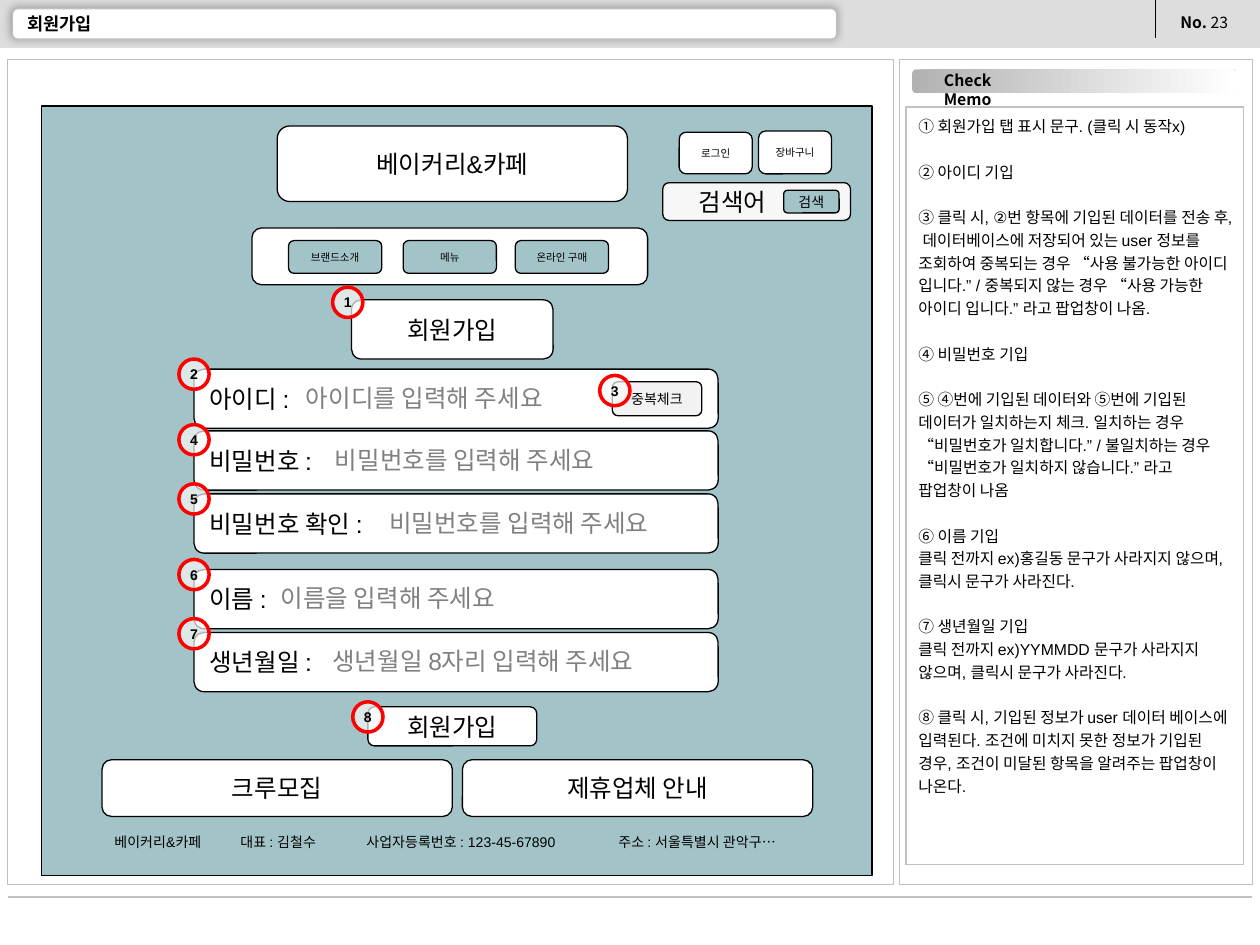
from dataclasses import dataclass

from lxml import etree
from pptx import Presentation
from pptx.dml.color import RGBColor
from pptx.enum.shapes import MSO_CONNECTOR, MSO_SHAPE
from pptx.enum.text import MSO_ANCHOR, PP_ALIGN
from pptx.oxml.ns import qn
from pptx.util import Inches, Pt

RECT, ROUND, OVAL = MSO_SHAPE.RECTANGLE, MSO_SHAPE.ROUNDED_RECTANGLE, MSO_SHAPE.OVAL
STRAIGHT = MSO_CONNECTOR.STRAIGHT
LEFT, CENTER = PP_ALIGN.LEFT, PP_ALIGN.CENTER
TOP, MIDDLE = MSO_ANCHOR.TOP, MSO_ANCHOR.MIDDLE


@dataclass(frozen=True)
class Theme:
    font: str = "Arial"
    korean: str = "Noto Sans CJK KR"
    black: str = "000000"
    white: str = "FFFFFF"
    band: str = "DDDDDD"
    border: str = "C0C0C0"
    fade: str = "B2B2B2"
    shadow: str = "989898"
    teal: str = "A2C4C9"
    search: str = "F7F7F7"
    check: str = "F2F2F2"
    marker: str = "F8F8F8"
    red: str = "FF0000"
    hint: str = "808080"
    large: int = 14
    title: int = 10
    body: int = 9
    small: int = 8
    tiny: int = 6


theme = Theme()


def write(box, text, size=theme.large, color=theme.black, font=theme.font, bold=False,
          lead="", align=LEFT, anchor=TOP, insets=(0.1, 0.05), left=None,
          spacing=None, gap=0, wrap=True):
    """Blank lines in text part blocks, set gap points apart; lead is a bold opening."""
    frame = box.text_frame
    frame.word_wrap = wrap
    frame.vertical_anchor = anchor
    side, edge = insets
    frame.margin_left = Inches(side if left is None else left)
    frame.margin_right = Inches(side)
    frame.margin_top = frame.margin_bottom = Inches(edge)
    para = frame.paragraphs[0]
    for block_number, block in enumerate(text.split("\n\n")):
        for line_number, line in enumerate(block.split("\n")):
            if block_number or line_number:
                para = frame.add_paragraph()
            if block_number and not line_number:
                para.space_before = Pt(gap)
            para.alignment = align
            if spacing:
                para.line_spacing = spacing
            for words, heavy in ((lead, True), (line, bold)):
                if not words:
                    continue
                span = para.add_run()
                span.text = words
                span.font.size = Pt(size)
                span.font.bold = heavy
                span.font.name = font
                span.font.color.rgb = RGBColor.from_string(color)
                east = etree.SubElement(span.font._element, qn("a:ea"))
                east.set("typeface", theme.korean)


def add_box(kind, left, top, width, height, fill=theme.white, line=theme.black, weight=0.75):
    box = page.shapes.add_shape(kind, Inches(left), Inches(top), Inches(width), Inches(height))
    box.shadow.inherit = False
    box.fill.solid()
    box.fill.fore_color.rgb = RGBColor.from_string(fill)
    if line:
        box.line.color.rgb = RGBColor.from_string(line)
        box.line.width = Pt(weight)
    else:
        box.line.fill.background()
    return box


deck = Presentation()
deck.slide_width, deck.slide_height = Inches(10), Inches(7.5)
page = deck.slides.add_slide(deck.slide_layouts[6])

# Page frame
add_box(RECT, 0, 0, 10, 0.38, theme.band, None)
title_bar = add_box(ROUND, 0.1, 0.07, 6.54, 0.24, line=theme.border)
effects = title_bar._element.spPr.find(qn("a:effectLst"))
shadow = etree.SubElement(effects, qn("a:outerShdw"), blurRad=str(Pt(5)),
                          dist=str(Pt(1.4)), dir=str(225 * 60000), algn="ctr")
etree.SubElement(shadow, qn("a:srgbClr"), val=theme.shadow)

for x1, y1, x2, y2, color, weight in (
    (9.17, 0, 9.17, 0.3, theme.black, 0.75),
    (0.06, 7.12, 9.94, 7.12, theme.border, 1.5),
):
    rule = page.shapes.add_connector(STRAIGHT, Inches(x1), Inches(y1), Inches(x2), Inches(y2))
    rule.line.color.rgb = RGBColor.from_string(color)
    rule.line.width = Pt(weight)
    etree.SubElement(rule._element.spPr, qn("a:effectLst"))

add_box(RECT, 7.14, 0.47, 2.8, 6.55, line=theme.border)
add_box(RECT, 0.06, 0.47, 7.03, 6.55, line=theme.border)

memo_bar = add_box(ROUND, 7.24, 0.55, 2.57, 0.19, line=None)
memo_bar.fill.gradient()
memo_bar.fill.gradient_angle = 0
for stop, color in zip(memo_bar.fill.gradient_stops, (theme.fade, theme.white)):
    stop.color.rgb = RGBColor.from_string(color)

# Memo
memo = """① 회원가입 탭 표시 문구. (클릭 시 동작x)

② 아이디 기입

③ 클릭 시, ②번 항목에 기입된 데이터를 전송 후, 데이터베이스에 저장되어 있는 user 정보를 조회하여 중복되는 경우 “사용 불가능한 아이디 입니다.” / 중복되지 않는 경우 “사용 가능한 아이디 입니다.” 라고 팝업창이 나옴.

④ 비밀번호 기입

⑤ ④번에 기입된 데이터와 ⑤번에 기입된 데이터가 일치하는지 체크. 일치하는 경우 “비밀번호가 일치합니다.” / 불일치하는 경우 “비밀번호가 일치하지 않습니다.” 라고 팝업창이 나옴

⑥ 이름 기입
클릭 전까지 ex)홍길동 문구가 사라지지 않으며, 클릭시 문구가 사라진다.

⑦ 생년월일 기입
클릭 전까지 ex)YYMMDD 문구가 사라지지 않으며, 클릭시 문구가 사라진다.

⑧ 클릭 시, 기입된 정보가 user 데이터 베이스에 입력된다. 조건에 미치지 못한 정보가 기입된 경우, 조건이 미달된 항목을 알려주는 팝업창이 나온다."""
memo_box = add_box(RECT, 7.19, 0.85, 2.68, 6.01, line=theme.border)
write(memo_box, memo, size=theme.body, spacing=1.2, gap=13)

# Site mock-up
add_box(RECT, 0.33, 0.84, 6.59, 6.11, theme.teal)
add_box(ROUND, 2, 1.81, 3.14, 0.45)
search_box = add_box(ROUND, 5.26, 1.45, 1.49, 0.3, theme.search)
write(search_box, "검색어", anchor=MIDDLE, insets=(0.1, 0.1), left=0.27)

fields = (
    (2.93, "아이디 :", 2.33, "아이디를 입력해 주세요"),
    (3.42, "비밀번호 :", 2.56, "비밀번호를 입력해 주세요"),
    (3.92, "비밀번호 확인 :", 2.99, "비밀번호를 입력해 주세요"),
    (4.52, "이름 :", 2.13, "이름을 입력해 주세요"),
    (5.02, "생년월일 :", 2.54, "생년월일 8자리 입력해 주세요"),
)
for top, label, hint_left, hint in fields:
    field = add_box(ROUND, 1.54, top, 4.16, 0.47)
    write(field, label, anchor=MIDDLE, insets=(0.1, 0.1))

buttons = (
    ("베이커리&카페", 2.2, 1, 2.78, 0.6, theme.white, theme.large),
    ("검색", 6.22, 1.51, 0.44, 0.18, theme.teal, theme.small),
    ("브랜드소개", 2.29, 1.91, 0.74, 0.26, theme.teal, theme.tiny),
    ("메뉴", 3.2, 1.91, 0.74, 0.26, theme.teal, theme.tiny),
    ("온라인 구매", 4.09, 1.91, 0.74, 0.26, theme.teal, theme.tiny),
    ("로그인", 5.39, 1.05, 0.58, 0.33, theme.white, theme.tiny),
    ("장바구니", 6.02, 1.04, 0.58, 0.34, theme.white, theme.tiny),
    ("회원가입", 2.79, 2.38, 1.6, 0.47, theme.white, theme.large),
    ("중복체크", 4.86, 3.03, 0.71, 0.27, theme.check, theme.small),
    ("회원가입", 2.92, 5.61, 1.34, 0.31, theme.white, theme.large),
    ("크루모집", 0.81, 6.03, 2.78, 0.45, theme.white, theme.large),
    ("제휴업체 안내", 3.67, 6.03, 2.78, 0.45, theme.white, theme.large),
)
for label, left, top, width, height, fill, size in buttons:
    button = add_box(ROUND, left, top, width, height, fill)
    write(button, label, size=size, align=CENTER, anchor=MIDDLE, insets=(0.1, 0.1))

# Numbered markers
marker_places = ((2.64, 2.28), (1.42, 2.85), (4.76, 2.98), (1.42, 3.37),
                 (1.42, 3.84), (1.42, 4.44), (1.42, 4.91), (2.8, 5.57))
for number, (left, top) in enumerate(marker_places, start=1):
    marker = add_box(OVAL, left, top, 0.24, 0.24, theme.marker, theme.red, 2)
    tint = marker._element.spPr.find(qn("a:solidFill")).find(qn("a:srgbClr"))
    etree.SubElement(tint, qn("a:alpha"), val="70000")
    write(marker, str(number), size=theme.small, bold=True, align=CENTER,
          anchor=MIDDLE, insets=(0.04, 0.05))

# Free text
footer = "베이커리&카페\t대표 : 김철수\t사업자등록번호 : 123-45-67890\t주소 : 서울특별시 관악구…"
texts = [
    (9.27, 0.05, 0.62, 0.25, "23", dict(size=theme.body, font=theme.korean, lead="No. ")),
    (7.2, 0.51, 0.96, 0.25, "Check Memo",
     dict(size=theme.body, font=theme.korean, bold=True, align=CENTER)),
    (0.12, 0.1, 5.42, 0.18, "회원가입", dict(size=theme.title, bold=True, anchor=MIDDLE)),
    (0.81, 6.57, 5.6, 0.24, footer, dict(size=theme.small, wrap=False)),
]
for top, label, hint_left, hint in fields:
    texts.append((hint_left, top + 0.06, 2.93, 0.34, hint, dict(color=theme.hint)))
for left, top, width, height, text, style in texts:
    box = page.shapes.add_textbox(Inches(left), Inches(top), Inches(width), Inches(height))
    write(box, text, **style)

deck.save("out.pptx")
